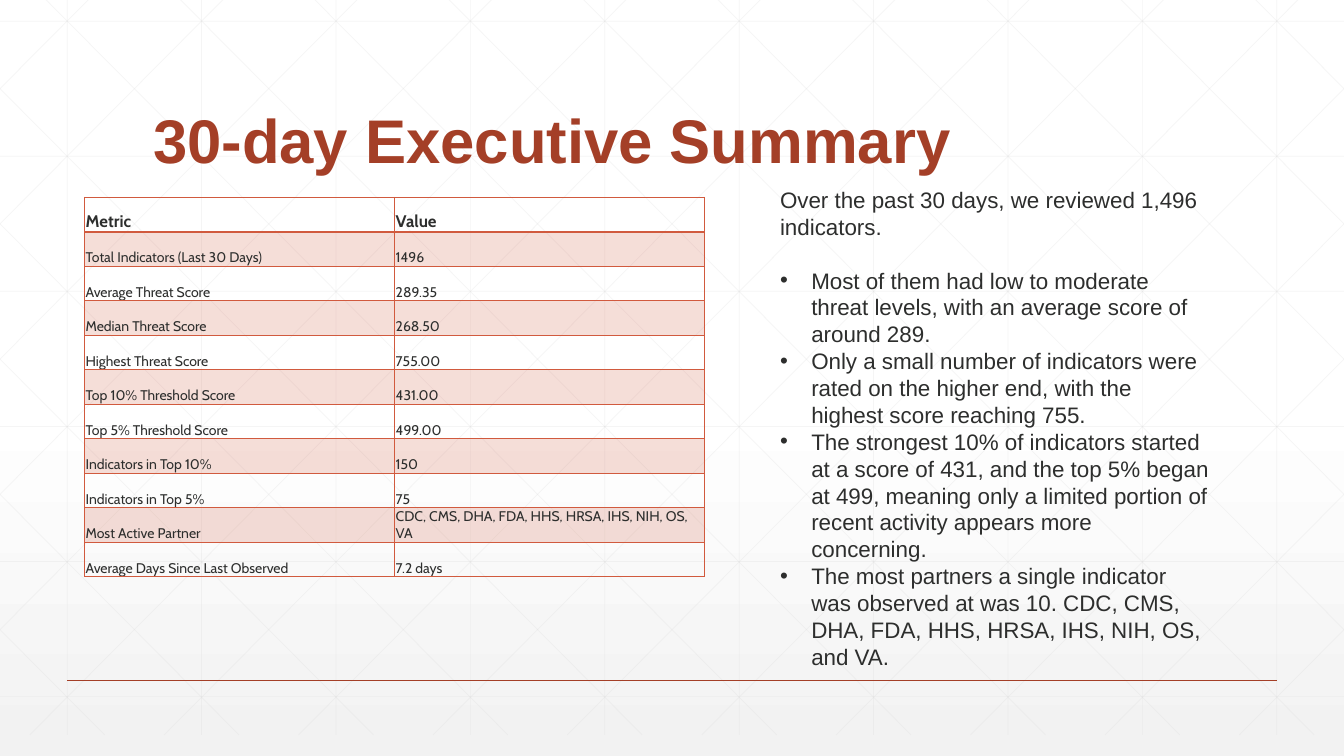
import pptx
import pptx.util
import pptx.dml.color
import pptx.enum.shapes
import pptx.enum.text
import pptx.oxml
import pptx.oxml.ns
from lxml import etree

WIDTH, HEIGHT = pptx.util.Inches(13.33), pptx.util.Inches(7.5)
COLUMN, ROW = WIDTH / 100, HEIGHT / 100
COLORS = {"mesh": "D9D9D9", "rust": "A43F27", "coral": "D15A3E",
          "ink": "2D2E2D", "white": "FFFFFF", "mist": "F2F2F2"}
ANCHOR = pptx.enum.text.MSO_ANCHOR
FONTS = {
    "title": {"name": "Arial", "size": pptx.util.Pt(44), "bold": True},
    "header": {"name": "Cabin", "size": pptx.util.Pt(12), "bold": True},
    "metric": {"name": "Cabin", "size": pptx.util.Pt(10), "bold": False},
    "summary": {"name": "Arial", "size": pptx.util.Pt(16)},
}
CELL_FORMAT = {"vertical_anchor": ANCHOR.BOTTOM, "margin_bottom": 0,
               **dict.fromkeys(("margin_left", "margin_right", "margin_top"),
                               pptx.util.Inches(0.01))}
METRICS = [
    ("Metric", "Value"),
    ("Total Indicators (Last 30 Days)", "1496"),
    ("Average Threat Score", "289.35"),
    ("Median Threat Score", "268.50"),
    ("Highest Threat Score", "755.00"),
    ("Top 10% Threshold Score", "431.00"),
    ("Top 5% Threshold Score", "499.00"),
    ("Indicators in Top 10%", "150"),
    ("Indicators in Top 5%", "75"),
    ("Most Active Partner", "CDC, CMS, DHA, FDA, HHS, HRSA, IHS, NIH, OS, VA"),
    ("Average Days Since Last Observed", "7.2 days"),
]
OVERVIEW = "Over the past 30 days, we reviewed 1,496 indicators."
FINDINGS = [
    "Most of them had low to moderate threat levels, with an average score of around 289.",
    "Only a small number of indicators were rated on the higher end, with the highest score reaching 755.",
    "The strongest 10% of indicators started at a score of 431, and the top 5% began at 499, "
    "meaning only a limited portion of recent activity appears more concerning.",
    "The most partners a single indicator was observed at was 10. "
    "CDC, CMS, DHA, FDA, HHS, HRSA, IHS, NIH, OS, and VA.",
]


def rgb(color):
    """Return the named colour."""
    return pptx.dml.color.RGBColor.from_string(COLORS[color])


def apply(target, values):
    """Set every attribute in values on the target."""
    for attribute, value in values.items():
        setattr(target, attribute, value)


def add_child(parent, tag, **attributes):
    """Append a drawing element and return it."""
    child = etree.SubElement(parent, pptx.oxml.ns.qn(tag))
    for key, value in attributes.items():
        child.set(key, str(value))
    return child


def add_color(parent, color, opacity=100):
    """Append a colour, translucent below 100 percent."""
    tint = add_child(parent, "a:srgbClr", val=COLORS[color])
    if opacity < 100:
        add_child(tint, "a:alpha", val=opacity * 1000)


def to_emu(box):
    """Turn a box in percent of the slide into slide lengths."""
    return [round(share * unit) for share, unit in zip(box, (COLUMN, ROW) * 2)]


def write(paragraph, text, style, color):
    """Add a styled run to the paragraph."""
    run = paragraph.add_run()
    run.text = text
    apply(run.font, FONTS[style])
    run.font.color.rgb = rgb(color)


def draw_line(slide, ends, color, weight, opacity=100):
    """Draw a straight line between two points."""
    line = slide.shapes.add_connector(
        pptx.enum.shapes.MSO_CONNECTOR.STRAIGHT, *to_emu(ends))
    line.line.width = pptx.util.Pt(weight)
    line.line.color.rgb = rgb(color)
    if opacity < 100:
        tint = line.line._ln.find(".//" + pptx.oxml.ns.qn("a:srgbClr"))
        add_child(tint, "a:alpha", val=opacity * 1000)
    add_child(line._element.spPr, "a:effectLst")


def paint_background(slide):
    """Fade the slide from white to pale grey."""
    fill = slide.background.fill
    fill.gradient()
    fill.gradient_angle = 270
    stops = slide._element.find(".//" + pptx.oxml.ns.qn("a:gsLst"))
    for stop in list(stops):
        stops.remove(stop)
    for position, color, opacity in ((0, "white", 100), (53, "white", 100), (100, "mist", 65)):
        add_color(add_child(stops, "a:gs", pos=position * 1000), color, opacity)


def draw_mesh(slide, box):
    """Draw the grid and its diagonals, cut off at the sides of the box."""
    left, top, width, height = box
    right, bottom = left + width, top + height
    lines = [(x, top, x, bottom) for x in range(5, 100, 10)]
    lines += [(left, y, right, y) for y in (2.8 + 17.87 * i for i in range(6))]
    run = 55.9
    falling = []
    for i in range(-5, 10):
        start = left + 1.88 + 10 * i
        enter, leave = max(0, (left - start) / run), min(1, (right - start) / run)
        falling.append((start + run * enter, top + height * enter,
                        start + run * leave, top + height * leave))
    rising = [(left + right - x1, y1, left + right - x2, y2) for x1, y1, x2, y2 in falling]
    for ends in lines + falling + rising:
        draw_line(slide, ends, "mesh", 0.5, 25)


def add_title(slide, box):
    """Place the heading at the foot of its box."""
    frame = slide.shapes.add_textbox(*to_emu(box)).text_frame
    apply(frame, {"word_wrap": True, "vertical_anchor": ANCHOR.BOTTOM})
    frame.paragraphs[0].line_spacing = 0.9
    write(frame.paragraphs[0], "30-day Executive Summary", "title", "rust")


def format_cell(cell, row):
    """Give a metric cell its margins, borders and band."""
    apply(cell, CELL_FORMAT)
    properties = cell._tc.get_or_add_tcPr()
    heavy = {0: "a:lnB", 1: "a:lnT"}.get(row)
    for side in ("a:lnL", "a:lnR", "a:lnT", "a:lnB"):
        border = add_child(properties, side, w=pptx.util.Pt(2 if side == heavy else 1))
        add_color(add_child(border, "a:solidFill"), "coral")
    if row % 2:
        add_color(add_child(properties, "a:solidFill"), "coral", 20)
    else:
        cell.fill.background()


def add_metrics(slide, box):
    """Fill the box with the table of metrics."""
    left, top, width, height = to_emu(box)
    table = slide.shapes.add_table(len(METRICS), 2, left, top, width, height).table
    apply(table, {"first_row": False, "horz_banding": False})
    for row, values in enumerate(METRICS):
        for column, value in enumerate(values):
            cell = table.cell(row, column)
            format_cell(cell, row)
            write(cell.text_frame.paragraphs[0], value, "metric" if row else "header", "ink")


def add_summary(slide, box):
    """Place the overview and its bulleted findings."""
    frame = slide.shapes.add_textbox(*to_emu(box)).text_frame
    frame.word_wrap = True
    write(frame.paragraphs[0], OVERVIEW, "summary", "ink")
    indent = pptx.util.Inches(0.31)
    for index, finding in enumerate(FINDINGS):
        paragraph = frame.add_paragraph()
        if index == 0:
            paragraph.space_before = pptx.util.Pt(19)
        properties = paragraph._p.get_or_add_pPr()
        properties.set("marL", str(indent))
        properties.set("indent", str(-indent))
        add_child(properties, "a:buFont", typeface="Arial")
        add_child(properties, "a:buChar", char="•")
        write(paragraph, finding, "summary", "ink")


def main():
    """Build and save the slide."""
    deck = pptx.Presentation()
    apply(deck, {"slide_width": WIDTH, "slide_height": HEIGHT})
    slide = deck.slides.add_slide(deck.slide_layouts[6])
    paint_background(slide)
    draw_mesh(slide, (0, -2.8, 100, 100))
    draw_line(slide, (5, 90, 95, 90), "rust", 1)
    add_title(slide, (10.65, 7.33, 78.75, 16.67))
    add_metrics(slide, (6.3, 26.13, 46.14, 50.13))
    add_summary(slide, (57.3, 24, 33.45, 66))
    deck.save("out.pptx")


if __name__ == "__main__":
    main()
